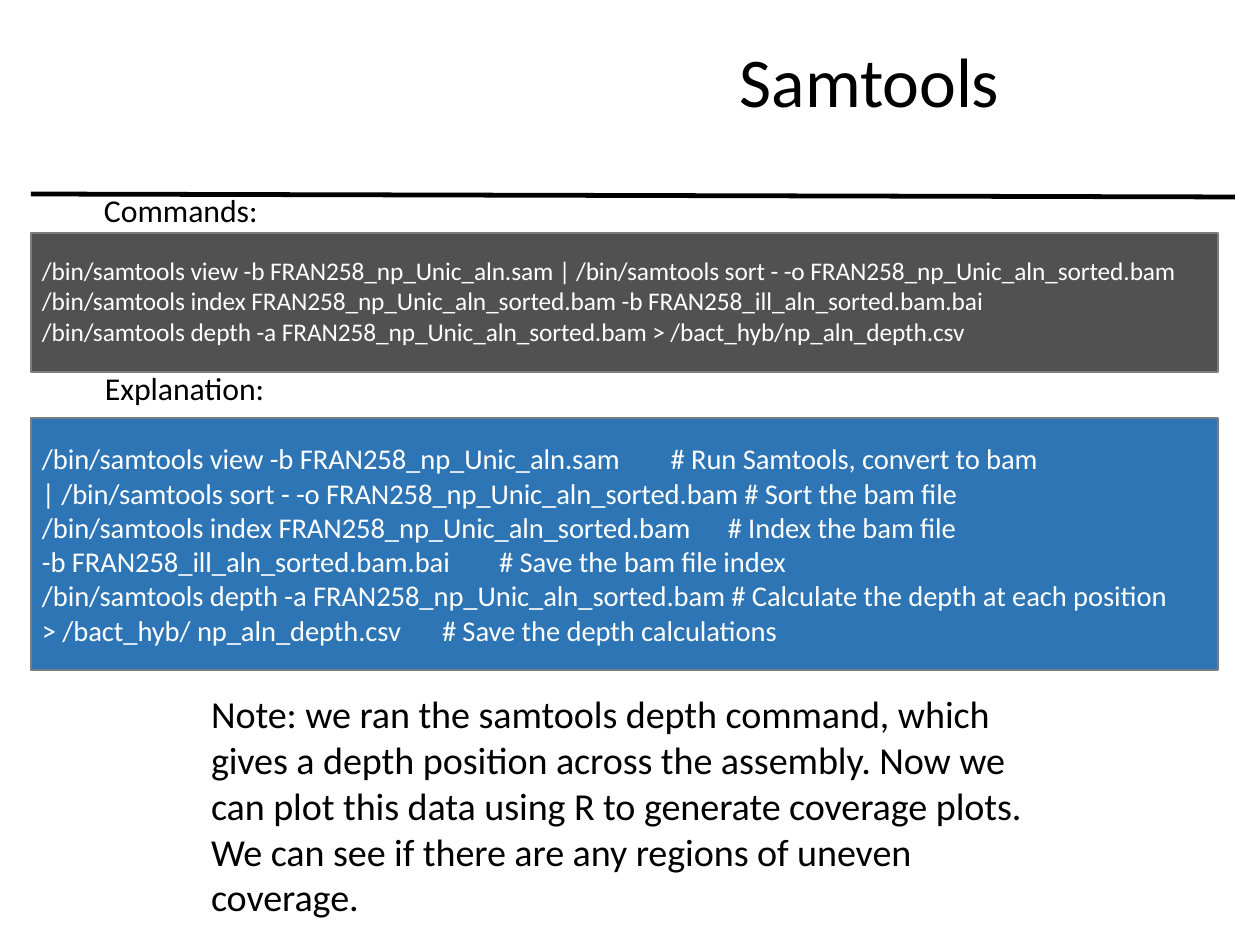
from lxml.etree import SubElement
from pptx import Presentation
from pptx.dml.color import RGBColor
from pptx.enum.shapes import MSO_CONNECTOR, MSO_SHAPE
from pptx.enum.text import MSO_ANCHOR, MSO_AUTO_SIZE, PP_ALIGN
from pptx.oxml.ns import qn
from pptx.util import Pt

PX = 8000  # EMU
BLACK = RGBColor(0x00, 0x00, 0x00)
WHITE = RGBColor(0xFF, 0xFF, 0xFF)
CHARCOAL = RGBColor(0x51, 0x51, 0x51)
BLUE = RGBColor(0x2E, 0x75, 0xB6)
GREY = RGBColor(0x7D, 0x7D, 0x7D)

COMMANDS = [
    "/bin/samtools view -b FRAN258_np_Unic_aln.sam | /bin/samtools sort - -o FRAN258_np_Unic_aln_sorted.bam",
    "/bin/samtools index FRAN258_np_Unic_aln_sorted.bam -b FRAN258_ill_aln_sorted.bam.bai",
    "/bin/samtools depth -a FRAN258_np_Unic_aln_sorted.bam > /bact_hyb/np_aln_depth.csv",
]
EXPLANATIONS = [
    "/bin/samtools view -b FRAN258_np_Unic_aln.sam\t# Run Samtools, convert to bam",
    "| /bin/samtools sort - -o FRAN258_np_Unic_aln_sorted.bam # Sort the bam file",
    "/bin/samtools index FRAN258_np_Unic_aln_sorted.bam\t# Index the bam file",
    "-b FRAN258_ill_aln_sorted.bam.bai\t# Save the bam file index",
    "/bin/samtools depth -a FRAN258_np_Unic_aln_sorted.bam # Calculate the depth at each position",
    "> /bact_hyb/ np_aln_depth.csv\t# Save the depth calculations",
]
NOTE = (
    "Note: we ran the samtools depth command, which gives a depth position across "
    "the assembly. Now we can plot this data using R to generate coverage plots. "
    "We can see if there are any regions of uneven coverage."
)


def write(frame, text, size, color=BLACK, left=0, right=0, before=0, tab=None, tracking=-5):
    """Add a paragraph; left, right and tab are px, before is points."""
    first = frame.paragraphs[0]
    para = first if not first.runs else frame.add_paragraph()
    para.alignment = PP_ALIGN.LEFT
    para.line_spacing = 1.0
    para.space_before = Pt(before)
    para.space_after = Pt(0)
    props = para._p.get_or_add_pPr()
    props.set("marL", str(left * PX))
    props.set("marR", str(right * PX))
    props.set("indent", "0")
    SubElement(props, qn("a:buNone"))
    if tab:
        stops = SubElement(props, qn("a:tabLst"))
        SubElement(stops, qn("a:tab"), pos=str(tab * PX), algn="l")
    span = para.add_run()
    span.text = text
    span.font.name = "Calibri"
    span.font.size = Pt(size)
    span.font.color.rgb = color
    span.font._element.set("spc", str(tracking))


class SlideBuilder:
    def __init__(self, page):
        self.page = page

    def frame(self, shape, top_inset=1):
        frame = shape.text_frame
        frame.margin_left = frame.margin_right = frame.margin_bottom = 0
        frame.margin_top = top_inset * PX
        frame.word_wrap = True
        frame.auto_size = MSO_AUTO_SIZE.NONE
        frame.vertical_anchor = MSO_ANCHOR.TOP
        return frame

    def placeholder(self, shape, left, top, width, height):
        shape.left, shape.top = left * PX, top * PX
        shape.width, shape.height = width * PX, height * PX
        return self.frame(shape)

    def panel(self, left, top, width, height, fill):
        """Add a filled rectangle behind the placeholders."""
        box = self.page.shapes.add_shape(
            MSO_SHAPE.RECTANGLE, left * PX, top * PX, width * PX, height * PX)
        box.shadow.inherit = False
        box.fill.solid()
        box.fill.fore_color.rgb = fill
        box.line.color.rgb = GREY
        box.line.width = Pt(0.96)
        self.page.shapes.title.element.addprevious(box.element)
        return self.frame(box, top_inset=22)

    def label(self, left, top, width, height):
        box = self.page.shapes.add_textbox(left * PX, top * PX, width * PX, height * PX)
        return self.frame(box)

    def rule(self, x1, y1, x2, y2):
        line = self.page.shapes.add_connector(
            MSO_CONNECTOR.STRAIGHT, x1 * PX, y1 * PX, x2 * PX, y2 * PX)
        line.line.color.rgb = BLACK
        line.line.width = Pt(3)
        SubElement(line.element.spPr, qn("a:effectLst"))


def main():
    deck = Presentation()
    deck.slide_width, deck.slide_height = 1260 * PX, 945 * PX
    page = deck.slides.add_slide(deck.slide_layouts[1])
    builder = SlideBuilder(page)

    commands = builder.panel(31, 233, 1187, 139, CHARCOAL)
    for command in COMMANDS:
        write(commands, command, 16, WHITE, left=11)
    builder.panel(31, 418, 1187, 252, BLUE)

    write(builder.label(103, 190, 158, 41), "Commands:", 20, left=1, before=1.1)

    title = builder.placeholder(page.shapes.title, 739, 37, 268, 87)
    write(title, "Samtools", 44, left=1, before=1, tracking=-10)

    body = builder.placeholder(page.placeholders[1], 42, 368, 1136, 550)
    write(body, "Explanation:", 20, left=63, before=1.1)
    for number, line in enumerate(EXPLANATIONS):
        write(body, line, 18, WHITE, before=0 if number else 21.5,
              tab=686 if "\t" in line else None)
    write(body, NOTE, 24, left=169, right=142, before=27.6)

    builder.rule(31, 194, 1235, 197)
    deck.save("out.pptx")


if __name__ == "__main__":
    main()
